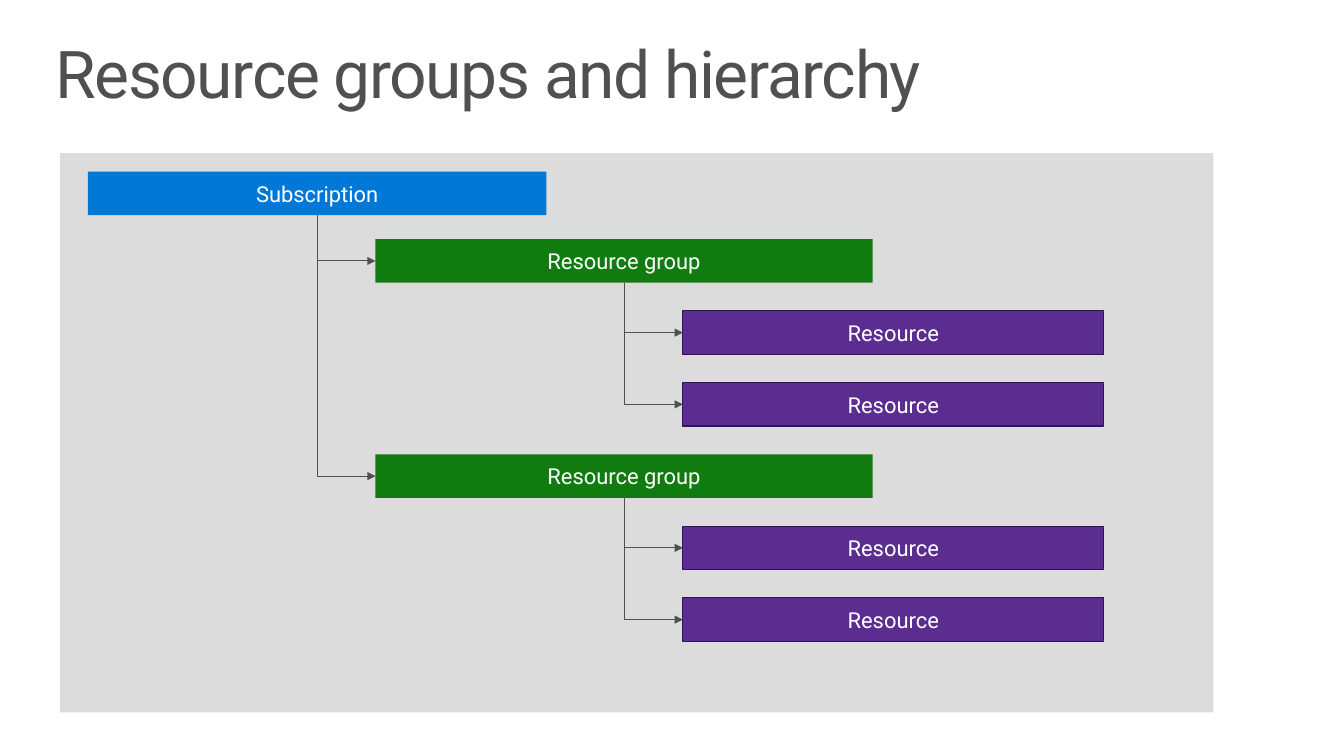
"""Build the slide on resource groups and their hierarchy."""
from dataclasses import dataclass
from typing import Optional

from lxml.etree import SubElement
from pptx import Presentation
from pptx.dml.color import RGBColor
from pptx.enum.shapes import MSO_CONNECTOR, MSO_SHAPE
from pptx.enum.text import MSO_ANCHOR, MSO_AUTO_SIZE, PP_ALIGN
from pptx.oxml.ns import qn
from pptx.shapes.autoshape import Shape
from pptx.shapes.shapetree import GroupShapes
from pptx.text.text import Font
from pptx.util import Inches, Pt

FONT = "Roboto"
GRAY = "505050"
FIRST_ROW, LAST_ROW, ROW_STEPS = 2.42, 6.05, 5
ROW_PITCH = (LAST_ROW - FIRST_ROW) / ROW_STEPS
BAR_HEIGHT = 0.44


@dataclass(frozen=True)
class Level:
    """Column and look shared by the bars of one hierarchy level."""

    label: str
    left: float
    width: float
    fill: str
    outline: Optional[str] = None


@dataclass(frozen=True)
class Node:
    """Bar on a grid row with the bars below it in the hierarchy."""

    level: Level
    row: float
    children: tuple["Node", ...] = ()


SUBSCRIPTION = Level("Subscription", 0.89, 4.64, "0078D7")
GROUP = Level("Resource group", 3.8, 5.03, "107C10")
RESOURCE = Level("Resource", 6.91, 4.26, "5C2D91", "32145A")

HIERARCHY = Node(SUBSCRIPTION, -0.94, tuple(
    Node(GROUP, row, (Node(RESOURCE, row + 1), Node(RESOURCE, row + 2)))
    for row in (0, 3)
))


def color(value: str) -> RGBColor:
    """Turn a hex string into a colour."""
    return RGBColor.from_string(value)


def row_top(row: float) -> float:
    """Return the top of a grid row in inches."""
    return FIRST_ROW + row * ROW_PITCH


def style_font(font: Font, size: float, hex_color: str) -> None:
    """Set typeface, size and colour."""
    font.name = FONT
    font.size = Pt(size)
    font.color.rgb = color(hex_color)


def add_box(shapes: GroupShapes, left: float, top: float, width: float,
            height: float, fill: str, outline: Optional[str] = None) -> Shape:
    """Add a flat rectangle."""
    box = shapes.add_shape(MSO_SHAPE.RECTANGLE, Inches(left), Inches(top),
                           Inches(width), Inches(height))
    box.shadow.inherit = False
    box.fill.solid()
    box.fill.fore_color.rgb = color(fill)
    if outline:
        box.line.color.rgb = color(outline)
        box.line.width = Pt(0.85)
    else:
        box.line.fill.background()
    return box


def add_panel(shapes: GroupShapes) -> None:
    """Add the translucent background panel."""
    panel = add_box(shapes, 0.61, 1.55, 11.67, 5.66, GRAY)
    tint = panel.fill._xPr.find(".//" + qn("a:srgbClr"))
    SubElement(tint, qn("a:alpha"), val="20000")


def add_bar(shapes: GroupShapes, node: Node) -> None:
    """Add the labelled bar of a node."""
    level = node.level
    bar = add_box(shapes, level.left, row_top(node.row), level.width,
                  BAR_HEIGHT, level.fill, level.outline)
    frame = bar.text_frame
    frame.word_wrap = True
    frame.vertical_anchor = MSO_ANCHOR.MIDDLE
    frame.margin_left = frame.margin_right = 0
    frame.text = level.label
    label = frame.paragraphs[0]
    label.alignment = PP_ALIGN.CENTER
    style_font(label.runs[0].font, 16, "FFFFFF")


def add_branch(shapes: GroupShapes, parent: Node, child: Node) -> None:
    """Add a one-bend arrow from under the parent to the child's left edge."""
    start_x = parent.level.left + parent.level.width / 2
    start_y = row_top(parent.row) + BAR_HEIGHT
    end_x = child.level.left
    end_y = row_top(child.row) + BAR_HEIGHT / 2
    center_x, center_y = (start_x + end_x) / 2, (start_y + end_y) / 2
    half_run, half_drop = (end_x - start_x) / 2, (end_y - start_y) / 2
    branch = shapes.add_connector(
        MSO_CONNECTOR.ELBOW,
        Inches(center_x + half_drop), Inches(center_y - half_run),
        Inches(center_x - half_drop), Inches(center_y + half_run))
    branch.line.color.rgb = color(GRAY)
    branch.line.width = Pt(0.75)
    properties = branch._element.spPr
    properties.find(qn("a:xfrm")).set("rot", "16200000")
    properties.find(qn("a:prstGeom")).set("prst", "bentConnector2")
    SubElement(properties.find(qn("a:ln")), qn("a:tailEnd"), type="triangle")
    SubElement(properties, qn("a:effectLst"))


def add_tree(shapes: GroupShapes, node: Node) -> None:
    """Add a node, its branches and everything below it."""
    add_bar(shapes, node)
    for child in node.children:
        add_tree(shapes, child)
        add_branch(shapes, node, child)


def set_title(title: Shape, text: str) -> None:
    """Place and format the slide title."""
    title.left, title.top = Inches(0.4), Inches(0.32)
    title.width, title.height = Inches(12.8), Inches(1)
    frame = title.text_frame
    frame.text = text
    frame.word_wrap = True
    frame.auto_size = MSO_AUTO_SIZE.NONE
    frame.vertical_anchor = MSO_ANCHOR.TOP
    frame.margin_left = frame.margin_right = Inches(0.16)
    frame.margin_top = frame.margin_bottom = Inches(0.1)
    heading = frame.paragraphs[0]
    heading.alignment = PP_ALIGN.LEFT
    heading.line_spacing = 0.9
    run = heading.runs[0]
    style_font(run.font, 48, GRAY)
    run.font._element.set("spc", "-100")


def main() -> None:
    """Build and save the slide."""
    presentation = Presentation()
    presentation.slide_width = Inches(13.6)
    presentation.slide_height = Inches(7.65)
    slide = presentation.slides.add_slide(presentation.slide_layouts[5])
    set_title(slide.shapes.title, "Resource groups and hierarchy")
    diagram = slide.shapes.add_group_shape().shapes
    add_panel(diagram)
    add_tree(diagram, HIERARCHY)
    presentation.save("out.pptx")


if __name__ == "__main__":
    main()
